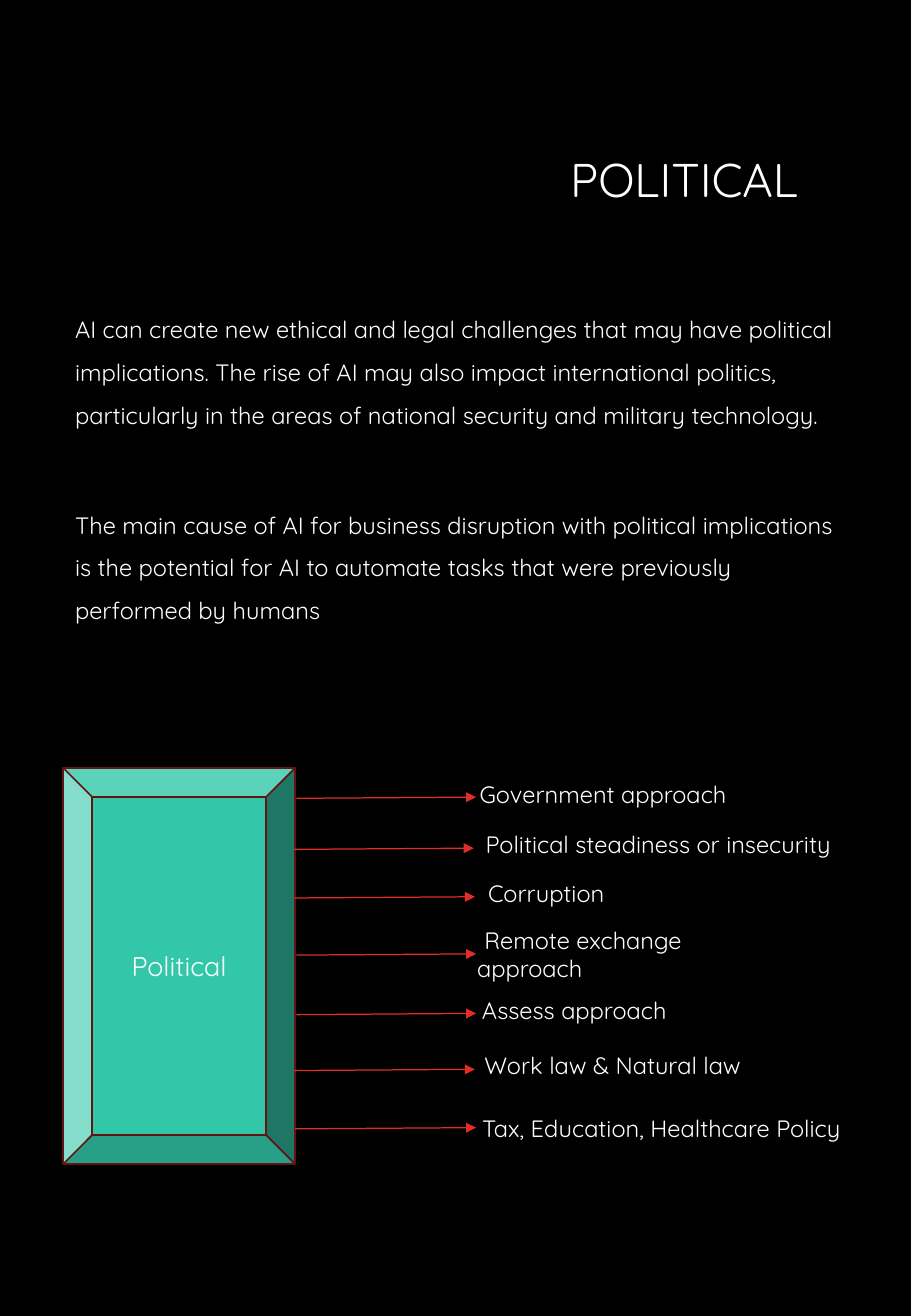
"""Build the political factors slide: a title, two paragraphs and a labelled bevel."""
from dataclasses import dataclass

from lxml.etree import SubElement
from pptx import Presentation
from pptx.dml.color import RGBColor
from pptx.enum.shapes import MSO_CONNECTOR as Connector, MSO_SHAPE as Shape
from pptx.enum.text import MSO_ANCHOR as Anchor, PP_ALIGN as Align
from pptx.oxml.ns import qn
from pptx.slide import Slide
from pptx.text.text import TextFrame
from pptx.util import Inches, Pt

BLACK = RGBColor(0x00, 0x00, 0x00)
WHITE = RGBColor(0xFF, 0xFF, 0xFF)
TEAL = RGBColor(0x32, 0xC7, 0xA9)
MAROON = RGBColor(0x62, 0x14, 0x12)
RED = RGBColor(0xDF, 0x2E, 0x28)
FONT = "Quicksand"
WIDTH, HEIGHT = Inches(7.5), Inches(10.83)
COLUMN, ROW = WIDTH / 75, HEIGHT / 108.3
MARGIN = 5.2


@dataclass(frozen=True)
class Area:
    """A rectangle measured in grid columns and rows."""
    left: float
    top: float
    width: float
    height: float

    def box(self) -> tuple[int, int, int, int]:
        """Return left, top, width and height as slide lengths."""
        return (round(self.left * COLUMN), round(self.top * ROW),
                round(self.width * COLUMN), round(self.height * ROW))


@dataclass(frozen=True)
class Factor:
    """A label with the arrow that leads to it."""
    text: str
    area: Area
    arrow_left: float
    arrow_right: float
    arrow_row: float
    rise: float = 0.1
    indent: float = 0


TITLE = Area(14.4, 10.5, 52.3, 9)
BODY = Area(MARGIN, 24.3, 64.7, 34.3)
BEVEL = Area(MARGIN, 63.2, 19.1, 32.6)
BODY_TEXT = (
    "AI can create new ethical and legal challenges that may have political implications. "
    "The rise of AI may also impact international politics, particularly in the areas of "
    "national security and military technology.\n"
    "The main cause of AI for business disruption with political implications is the "
    "potential for AI to automate tasks that were previously performed by humans"
)
FACTORS = (
    Factor("Government approach", Area(38.5, 63.7, 31.4, 3.4), 24.4, 39.2, 65.7),
    Factor("Political steadiness or insecurity", Area(39, 67.8, 31.4, 3.4), 24.2, 39, 69.9),
    Factor("Corruption", Area(39.2, 71.8, 31.4, 3.4), 24.2, 39.1, 73.9),
    Factor("Remote exchange\napproach", Area(38.3, 75.7, 31.7, 5.7), 24.4, 39.2, 78.6,
           indent=0.6),
    Factor("Assess approach", Area(38.7, 81.5, 31.4, 3.4), 24.4, 39.2, 83.5),
    Factor("Work law & Natural law", Area(38.9, 86, 31.4, 3.4), 24.2, 39.1, 88.1),
    Factor("Tax, Education, Healthcare Policy", Area(38.7, 91.2, 35.1, 3.4), 24.3, 39.2, 92.9),
)


def write(frame: TextFrame, text: str, size: float, align: Align = Align.LEFT,
          anchor: Anchor = Anchor.TOP, spacing: float = 1, gap: float = 0) -> None:
    """Fill a text frame with uniformly formatted paragraphs."""
    frame.text = text
    frame.word_wrap = True
    frame.vertical_anchor = anchor
    for number, paragraph in enumerate(frame.paragraphs):
        paragraph.alignment = align
        paragraph.line_spacing = spacing
        paragraph.space_before = Pt(gap if number else 0)
        for run in paragraph.runs:
            run.font.name = FONT
            run.font.size = Pt(size)
            run.font.color.rgb = WHITE


def add_title(slide: Slide) -> None:
    """Place and format the title placeholder."""
    title = slide.shapes.title
    title.left, title.top, title.width, title.height = TITLE.box()
    write(title.text_frame, "POLITICAL", 28, Align.RIGHT, Anchor.MIDDLE, 0.9)


def add_bevel(slide: Slide) -> None:
    """Draw the bevelled block that the arrows leave from."""
    bevel = slide.shapes.add_shape(Shape.BEVEL, *BEVEL.box())
    bevel.shadow.inherit = False
    bevel.fill.solid()
    bevel.fill.fore_color.rgb = TEAL
    bevel.line.color.rgb = MAROON
    bevel.line.width = Pt(1)
    write(bevel.text_frame, "Political", 16, Align.CENTER, Anchor.MIDDLE)


def add_factor(slide: Slide, factor: Factor) -> None:
    """Draw one label and its arrow."""
    label = slide.shapes.add_textbox(*factor.area.box())
    write(label.text_frame, factor.text, 14)
    if factor.indent:
        properties = label.text_frame.paragraphs[0]._p.get_or_add_pPr()
        properties.set("indent", str(round(factor.indent * COLUMN)))
    arrow = slide.shapes.add_connector(
        Connector.STRAIGHT,
        round(factor.arrow_left * COLUMN), round(factor.arrow_row * ROW),
        round(factor.arrow_right * COLUMN), round((factor.arrow_row - factor.rise) * ROW))
    arrow.line.color.rgb = RED
    arrow.line.width = Pt(0.75)
    SubElement(arrow.line._get_or_add_ln(), qn("a:tailEnd"), type="triangle")
    SubElement(arrow._element.spPr, qn("a:effectLst"))


def main() -> None:
    """Build and save the presentation."""
    presentation = Presentation()
    presentation.slide_width, presentation.slide_height = WIDTH, HEIGHT
    slide = presentation.slides.add_slide(presentation.slide_layouts[5])
    slide.background.fill.solid()
    slide.background.fill.fore_color.rgb = BLACK
    add_title(slide)
    body = slide.shapes.add_textbox(*BODY.box())
    write(body.text_frame, BODY_TEXT, 14, spacing=1.5, gap=40)
    add_bevel(slide)
    for factor in FACTORS:
        add_factor(slide, factor)
    presentation.save("out.pptx")


if __name__ == "__main__":
    main()
